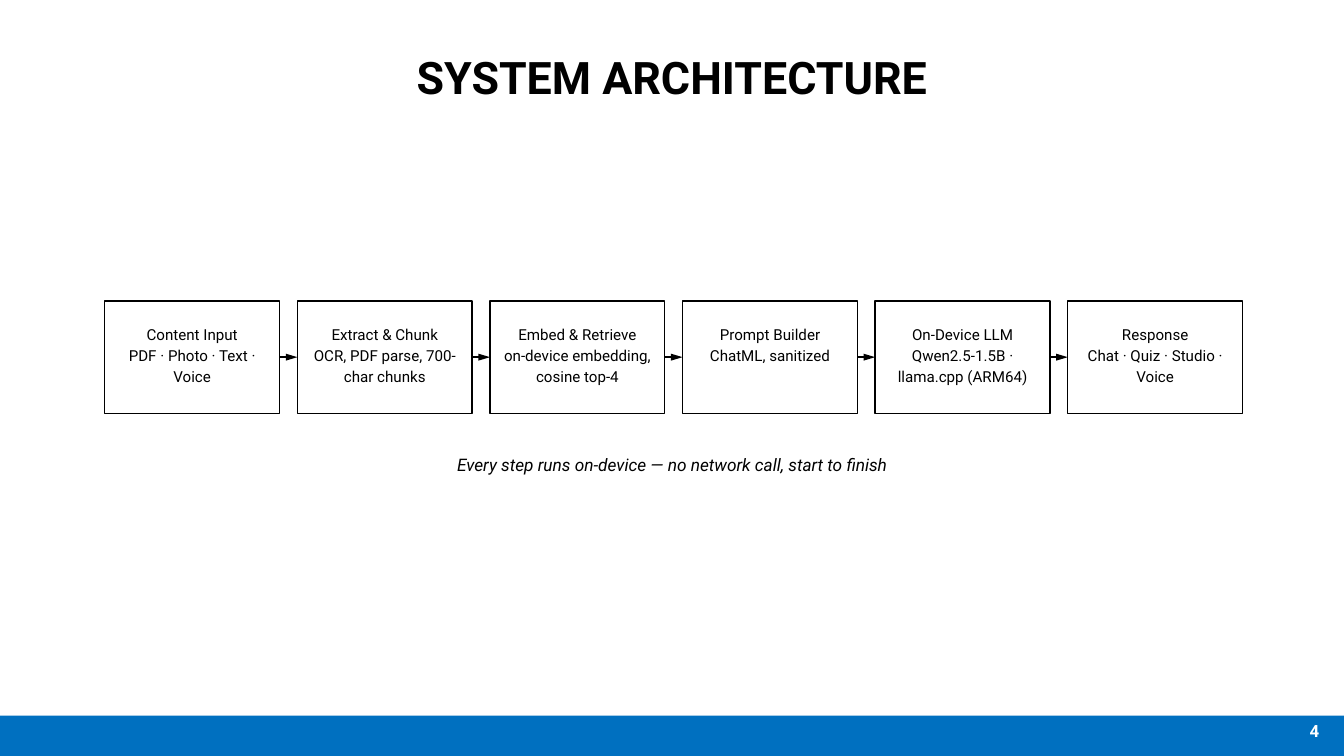
from lxml import etree
from pptx import Presentation
from pptx.dml.color import RGBColor
from pptx.enum.shapes import MSO_CONNECTOR, MSO_SHAPE
from pptx.enum.text import MSO_ANCHOR, PP_ALIGN
from pptx.oxml.ns import qn
from pptx.util import Inches, Pt

RECTANGLE = MSO_SHAPE.RECTANGLE
STRAIGHT = MSO_CONNECTOR.STRAIGHT
TOP = MSO_ANCHOR.TOP
CENTER, RIGHT = PP_ALIGN.CENTER, PP_ALIGN.RIGHT
LEFT_SIDE, RIGHT_SIDE = 1, 3

COLORS = {"black": "000000", "white": "FFFFFF", "blue": "0070C0"}
FONT = "Roboto"

STEPS = [
    ("Content Input", "PDF · Photo · Text · Voice"),
    ("Extract & Chunk", "OCR, PDF parse, 700-char chunks"),
    ("Embed & Retrieve", "on-device embedding, cosine top-4"),
    ("Prompt Builder", "ChatML, sanitized"),
    ("On-Device LLM", "Qwen2.5-1.5B · llama.cpp (ARM64)"),
    ("Response", "Chat · Quiz · Studio · Voice"),
]
FIRST_LEFT, LAST_LEFT = 1.56, 15.89
STEP_TOP, STEP_WIDTH, STEP_HEIGHT = 4.48, 2.6, 1.67
PITCH = (LAST_LEFT - FIRST_LEFT) / (len(STEPS) - 1)


def write_text(shape, text, size, spacing, color="black", alignment=CENTER,
               bold=False, italic=False, side_margin=0, top_margin=0):
    frame = shape.text_frame
    frame.text = text
    frame.word_wrap = True
    frame.vertical_anchor = TOP
    frame.margin_left = frame.margin_right = Inches(side_margin)
    frame.margin_top, frame.margin_bottom = Inches(top_margin), 0
    for paragraph in frame.paragraphs:
        paragraph.alignment = alignment
        paragraph.line_spacing = Pt(spacing)
        paragraph.space_before = Pt(0)
        for run in paragraph.runs:
            run.font.name = FONT
            run.font.size = Pt(size)
            run.font.bold = bold
            run.font.italic = italic
            run.font.color.rgb = RGBColor.from_string(COLORS[color])


def add_rectangle(slide, left, top, width, height, fill):
    shape = slide.shapes.add_shape(
        RECTANGLE, Inches(left), Inches(top), Inches(width), Inches(height))
    shape.shadow.inherit = False
    shape.fill.solid()
    shape.fill.fore_color.rgb = RGBColor.from_string(COLORS[fill])
    shape.line.fill.background()
    return shape


presentation = Presentation()
presentation.slide_width = Inches(20)
presentation.slide_height = Inches(11.25)
slide = presentation.slides.add_slide(presentation.slide_layouts[5])
slide.background.fill.solid()
slide.background.fill.fore_color.rgb = RGBColor.from_string(COLORS["white"])

title = slide.shapes.title
title.left, title.top = Inches(1), Inches(0.6)
title.width, title.height = Inches(18), Inches(0.92)
write_text(title, "SYSTEM ARCHITECTURE", 48, 67.2, bold=True)

add_rectangle(slide, 0, 10.65, 20, 0.6, "blue")
page_number = slide.shapes.add_textbox(
    Inches(14.96), Inches(10.67), Inches(4.67), Inches(0.36))
write_text(page_number, "4", 18, 25.2, color="white", alignment=RIGHT, bold=True)

step_boxes = []
for index, step in enumerate(STEPS):
    box = add_rectangle(slide, FIRST_LEFT + index * PITCH, STEP_TOP,
                        STEP_WIDTH, STEP_HEIGHT, "white")
    box.line.color.rgb = RGBColor.from_string(COLORS["black"])
    box.line.width = Pt(1.5)
    write_text(box, "\n".join(step), 16.2, 22.7, side_margin=0.16, top_margin=0.31)
    step_boxes.append(box)

for source, target in zip(step_boxes, step_boxes[1:]):
    arrow = slide.shapes.add_connector(STRAIGHT, 0, 0, 0, 0)
    arrow.begin_connect(source, RIGHT_SIDE)
    arrow.end_connect(target, LEFT_SIDE)
    arrow.line.color.rgb = RGBColor.from_string(COLORS["black"])
    arrow.line.width = Pt(2.5)
    etree.SubElement(arrow.line._get_or_add_ln(), qn("a:tailEnd"),
                     type="triangle", w="med", len="lg")
    etree.SubElement(arrow._element.spPr, qn("a:effectLst"))

caption = slide.shapes.add_textbox(
    Inches(4.79), Inches(6.71), Inches(10.42), Inches(0.37))
write_text(caption, "Every step runs on-device — no network call, start to finish",
           18.5, 25.9, italic=True)

presentation.save("out.pptx")
